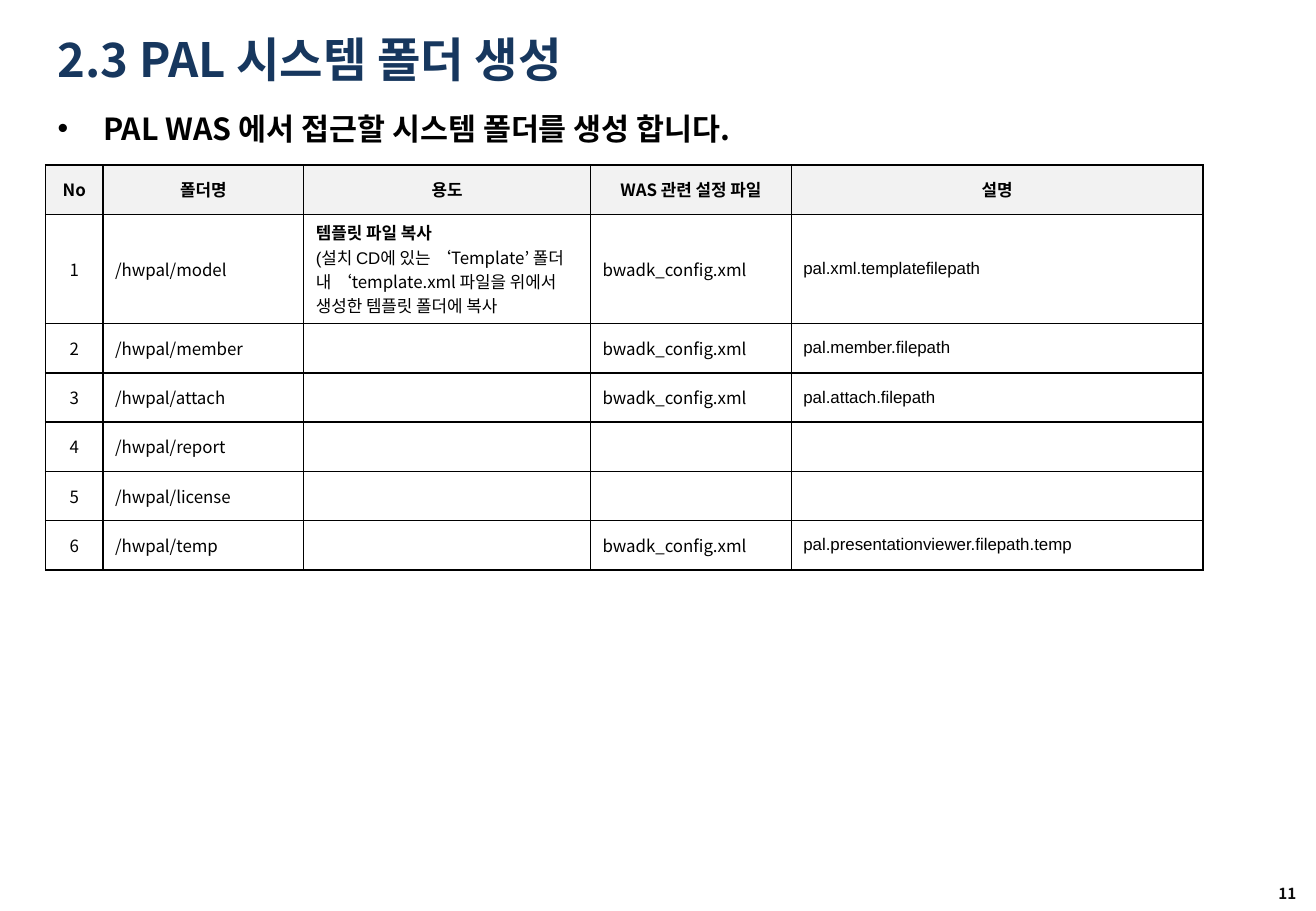
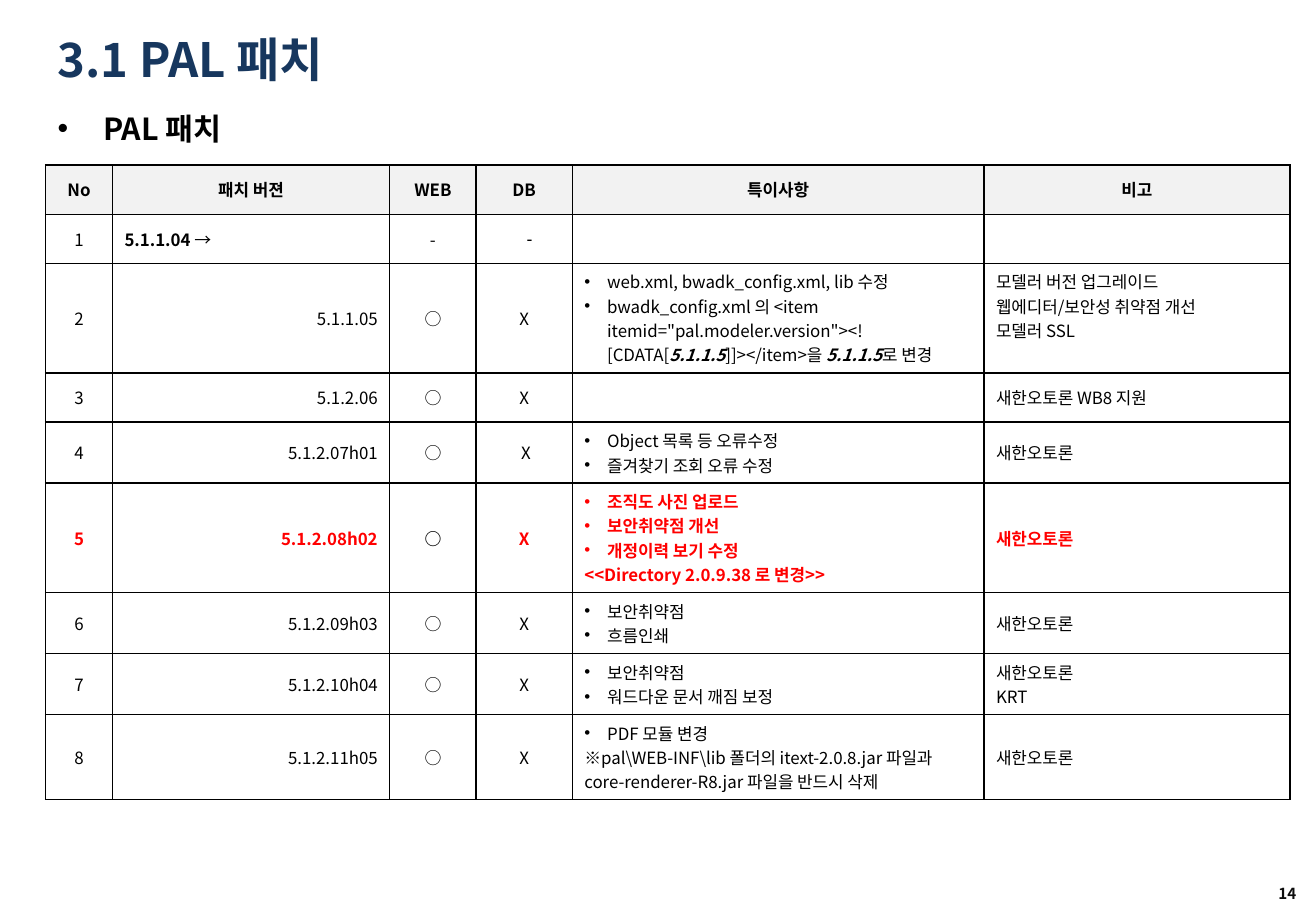
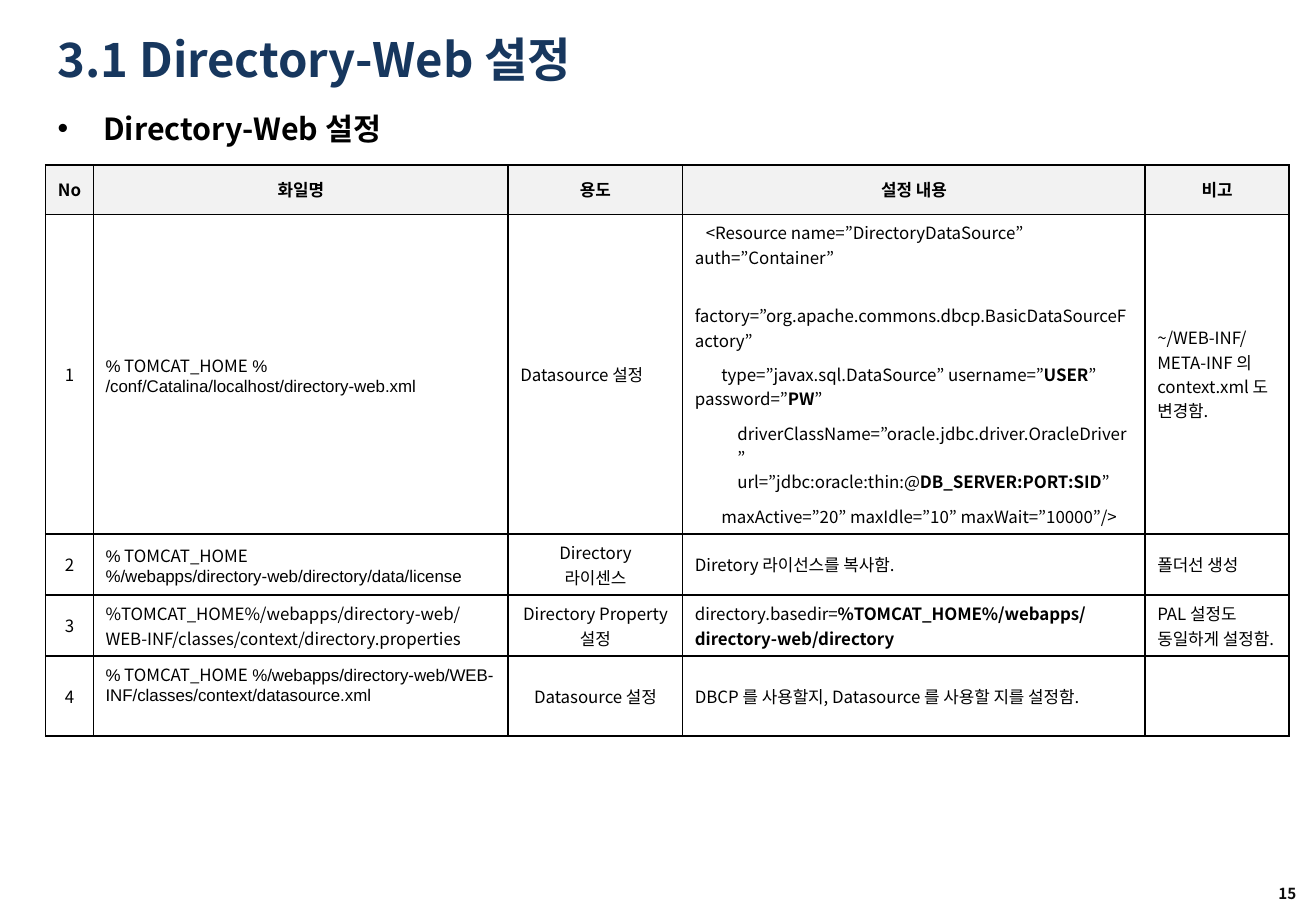
from dataclasses import dataclass
from typing import Optional

from lxml.etree import SubElement
from pptx import Presentation
from pptx.dml.color import RGBColor
from pptx.enum.lang import MSO_LANGUAGE_ID as Language
from pptx.enum.text import MSO_ANCHOR as Anchor, MSO_AUTO_SIZE as AutoSize, PP_ALIGN as Align
from pptx.oxml.ns import qn
from pptx.util import Pt


@dataclass(frozen=True)
class Theme:
    font: str = "Noto Sans CJK KR"
    plain_font: str = "Arial"
    navy: str = "17375E"
    black: str = "000000"
    footer: str = "0D0D0D"
    red: str = "FF0000"
    header_fill: str = "F2F2F2"
    title_size: float = 28
    body_size: float = 18
    cell_size: float = 10
    footer_size: float = 9
    border: float = 1
    row_height: float = 29.2
    left: float = 27


@dataclass
class Span:
    text: str
    bold: Optional[bool] = None
    italic: Optional[bool] = None
    font: Optional[str] = None


@dataclass
class Line:
    content: object
    bullet: bool = False
    before: float = 0
    margin: float = 0
    indent: float = 0
    align: object = None
    font: Optional[str] = None
    size: Optional[float] = None
    color: Optional[str] = None
    bold: Optional[bool] = None


def as_list(value):
    return value if isinstance(value, list) else [value]


def bullets(*texts):
    return [Line(text, bullet=True) for text in texts]


class DeckBuilder:
    def __init__(self, theme):
        self.theme = theme
        self.deck = Presentation()
        self.deck.slide_width, self.deck.slide_height = Pt(780), Pt(540)
        self.layout = self.deck.slide_layouts[1]
        self.slide = None
        title, body = list(self.layout.placeholders)[:2]
        self.place(title, theme.left, 15, 702, 39.6)
        self.place(body, theme.left, 61.7, 713.5, 32.4)

    def place(self, shape, left, top, width, height):
        shape.left, shape.top = Pt(left), Pt(top)
        shape.width, shape.height = Pt(width), Pt(height)

    def set_font(self, font, size, color, bold, name=None):
        font.size, font.bold = Pt(size), bold
        font.language_id = Language.ENGLISH_US
        font.name = name or self.theme.font
        font.color.rgb = RGBColor.from_string(color)
        SubElement(font._rPr, qn("a:ea"), typeface=self.theme.font)

    def add_page(self, title, heading, number):
        self.slide = self.deck.slides.add_slide(self.layout)
        self.add_title(title)
        self.add_heading(heading)
        self.add_number(number)

    def add_title(self, text):
        frame = self.slide.shapes.title.text_frame
        frame.auto_size, frame.vertical_anchor = AutoSize.NONE, Anchor.MIDDLE
        para = frame.paragraphs[0]
        para.text, para.alignment = text, Align.LEFT
        self.set_font(para.font, self.theme.title_size, self.theme.navy, True)

    def add_heading(self, text):
        frame = self.slide.placeholders[1].text_frame
        frame.auto_size = AutoSize.NONE
        para = frame.paragraphs[0]
        para.text = text
        self.set_bullet(para, 27)
        self.set_font(para.font, self.theme.body_size, self.theme.black, True)

    def add_number(self, number):
        box = self.slide.shapes.add_textbox(Pt(594.7), Pt(514.8), Pt(182.2), Pt(29.5))
        frame = box.text_frame
        frame.word_wrap, frame.vertical_anchor = True, Anchor.MIDDLE
        frame.margin_left = frame.margin_right = Pt(8.6)
        frame.margin_top = frame.margin_bottom = Pt(4.3)
        para = frame.paragraphs[0]
        para.text, para.alignment = str(number), Align.RIGHT
        self.set_font(para.font, self.theme.footer_size, self.theme.footer, True)

    def set_indent(self, para, margin, indent):
        props = para._p.get_or_add_pPr()
        props.set("marL", str(Pt(margin)))
        props.set("indent", str(Pt(indent)))
        return props

    def set_bullet(self, para, width):
        props = self.set_indent(para, width, -width)
        SubElement(props, qn("a:buFont"), typeface=self.theme.plain_font)
        SubElement(props, qn("a:buChar"), char="•")

    def add_line(self, para, line, align, color, bold):
        para.alignment = line.align or align
        if line.before:
            para.space_before = Pt(line.before)
        if line.bullet:
            self.set_bullet(para, 13.5)
        elif line.margin or line.indent:
            self.set_indent(para, line.margin, line.indent)
        bold = bold if line.bold is None else line.bold
        self.set_font(para.font, line.size or self.theme.cell_size,
                      line.color or color, bold, line.font)
        for span in as_list(line.content):
            span = Span(span) if isinstance(span, str) else span
            for index, text in enumerate(span.text.split("\n")):
                if index:
                    para.add_line_break()
                run = para.add_run()
                run.text = text
                if span.bold is not None:
                    run.font.bold = span.bold
                if span.italic is not None:
                    run.font.italic = span.italic
                if span.font:
                    run.font.name = span.font

    def set_borders(self, cell):
        props = cell._tc.get_or_add_tcPr()
        for side in ("lnL", "lnR", "lnT", "lnB"):
            edge = SubElement(props, qn(f"a:{side}"), w=str(Pt(self.theme.border)))
            fill = SubElement(edge, qn("a:solidFill"))
            SubElement(fill, qn("a:srgbClr"), val=self.theme.black)

    def fill_cell(self, cell, content, align, color, bold, header):
        self.set_borders(cell)
        if header:
            cell.fill.solid()
            cell.fill.fore_color.rgb = RGBColor.from_string(self.theme.header_fill)
        else:
            cell.fill.background()
        cell.vertical_anchor = Anchor.MIDDLE
        frame = cell.text_frame
        for index, line in enumerate(as_list(content)):
            para = frame.add_paragraph() if index else frame.paragraphs[0]
            line = line if isinstance(line, Line) else Line(line)
            if line.content:
                self.add_line(para, line, align, color, bold)
            else:
                self.set_font(para.font, self.theme.cell_size, color, bold)

    def add_table(self, widths, tall_rows, aligns, headers, rows, red_row=None, top_cells=()):
        numbered = [["No"] + headers] + [[str(n)] + row for n, row in enumerate(rows, 1)]
        heights = [tall_rows.get(r, self.theme.row_height) for r in range(len(numbered))]
        table = self.slide.shapes.add_table(
            len(numbered), len(widths), Pt(self.theme.left), Pt(97.8),
            Pt(sum(widths)), Pt(sum(heights))).table
        table.first_row = table.horz_banding = False
        for column, width in zip(table.columns, widths):
            column.width = Pt(width)
        for r, row in enumerate(numbered):
            table.rows[r].height = Pt(heights[r])
            header, red = r == 0, r == red_row
            color = self.theme.red if red else self.theme.black
            for c, content in enumerate(row):
                align = Align.CENTER if header or c == 0 else aligns[c - 1]
                self.fill_cell(table.cell(r, c), content, align, color, header or red, header)
        for r, c in top_cells:
            table.cell(r, c).vertical_anchor = Anchor.TOP


theme = Theme()
builder = DeckBuilder(theme)
PLAIN, NOTO = theme.plain_font, theme.font
LEFT, CENTER, RIGHT = Align.LEFT, Align.CENTER, Align.RIGHT


def plain(text):
    return Line(text, font=PLAIN)


def strong(text, italic=None):
    return Span(text, bold=True, italic=italic)


def home_file(rest):
    return Line(["%", Span(" TOMCAT_HOME", font=NOTO), " " + rest], font=PLAIN)


config = "bwadk_config.xml"
template_note = [
    Line("템플릿 파일 복사", font=PLAIN, bold=True),
    Line(["(설치 CD에 있는 ", Span("‘Template’ ", font=NOTO), "폴더 내 ",
          Span("‘template.xml ", font=NOTO), "파일을 위에서 생성한 템플릿 폴더에 복사"], font=PLAIN),
]
builder.add_page("2.3 PAL 시스템 폴더 생성", "PAL WAS 에서 접근할 시스템 폴더를 생성 합니다.", 11)
builder.add_table(
    [34, 119, 170, 119, 244], {1: 64.8}, [LEFT] * 4,
    ["폴더명", "용도", "WAS 관련 설정 파일", "설명"],
    [
        ["/hwpal/model", template_note, config, plain("pal.xml.templatefilepath")],
        ["/hwpal/member", "", config, plain("pal.member.filepath")],
        ["/hwpal/attach", "", config, plain("pal.attach.filepath")],
        ["/hwpal/report", "", "", ""],
        ["/hwpal/license", "", "", ""],
        ["/hwpal/temp", "", config, plain("pal.presentationviewer.filepath.temp")],
    ])

client = "새한오토론"
version_note = Line(
    ['bwadk_config.xml 의 <item itemid="pal.modeler.version"><![CDATA[', strong("5.1.1.5", True),
     "]]></item>을 ", strong("5.1.1.5", True), "로 변경"], bullet=True)
builder.add_page("3.1 PAL 패치", "PAL 패치", 14)
builder.add_table(
    [39.6, 164.4, 51.2, 57, 244, 181.4], {2: 64.8, 4: 36.2, 5: 64.8, 6: 36.2, 7: 36.2, 8: 50.4},
    [RIGHT, CENTER, CENTER, LEFT, LEFT],
    ["패치 버젼", "WEB", "DB", "특이사항", "비고"],
    [
        [Line([strong("5.1.1.04 "), "→"], align=LEFT), "-",
         Line("-", indent=6.5, before=6, font=PLAIN, size=10.5), "", ""],
        ["5.1.1.05", "○", "X",
         bullets("web.xml, bwadk_config.xml, lib 수정") + [version_note],
         ["모델러 버전 업그레이드", "웹에디터/보안성 취약점 개선", "모델러 SSL"]],
        ["5.1.2.06", "○", "X", "", f"{client} WB8 지원"],
        ["5.1.2.07h01", "○", " X", bullets("Object 목록 등 오류수정", "즐겨찾기 조회 오류 수정"), client],
        ["5.1.2.08h02", Line("○", color=theme.black), "X",
         bullets("조직도 사진 업로드", "보안취약점 개선", "개정이력 보기 수정")
         + ["<<Directory 2.0.9.38 로 변경>>"], client],
        ["5.1.2.09h03", "○", "X", bullets("보안취약점", "흐름인쇄"), client],
        ["5.1.2.10h04", "○", "X", bullets("보안취약점", "워드다운 문서 깨짐 보정"), [client, "KRT"]],
        ["5.1.2.11h05", "○", "X",
         bullets("PDF 모듈 변경")
         + ["※pal\\WEB-INF\\lib 폴더의 itext-2.0.8.jar 파일과 core-renderer-R8.jar 파일을 반드시 삭제"],
         client],
    ], red_row=5, top_cells=[(2, 5)])

resource = [
    Line("<Resource name=”DirectoryDataSource” auth=”Container”", before=6, indent=6.5),
    Line("factory=”org.apache.commons.dbcp.BasicDataSourceFactory”", before=20.5),
    Line(["type=”javax.sql.DataSource” username=”", strong("USER"), "” password=”", strong("PW"), "”"],
         before=6, indent=15.7),
    Line(["driverClassName=”oracle.jdbc.driver.OracleDriver”\nurl=”jdbc:oracle:thin:@",
          strong("DB_SERVER:PORT:SID"), "”"], before=6, margin=25.2),
    Line("maxActive=”20” maxIdle=”10” maxWait=”10000”/>", before=6, indent=15.7),
]
builder.add_page("3.1 Directory-Web 설정", "Directory-Web 설정", 15)
builder.add_table(
    [28.4, 245.8, 103.5, 274.1, 85.3], {1: 189.6, 2: 36.2, 3: 36.2, 4: 47.4},
    [LEFT, CENTER, LEFT, LEFT],
    ["화일명", "용도", "설정 내용", "비고"],
    [
        [home_file("% /conf/Catalina/localhost/directory-web.xml"),
         Line("Datasource 설정", align=LEFT), resource,
         "~/WEB-INF/META-INF 의 context.xml 도 변경함."],
        [home_file("%/webapps/directory-web/directory/data/license"),
         ["Directory", "라이센스"], "Diretory 라이선스를 복사함.", "폴더선 생성"],
        ["%TOMCAT_HOME%/webapps/directory-web/WEB-INF/classes/context/directory.properties",
         "Directory Property 설정",
         Line(["directory.basedir=", strong("%TOMCAT_HOME%/webapps/directory-web/directory")]),
         "PAL 설정도 동일하게 설정함."],
        [home_file("%/webapps/directory-web/WEB-INF/classes/context/datasource.xml"),
         "Datasource 설정", "DBCP 를 사용할지, Datasource 를 사용할 지를 설정함.", ""],
    ], top_cells=[(4, 1)])

builder.deck.save("out.pptx")
